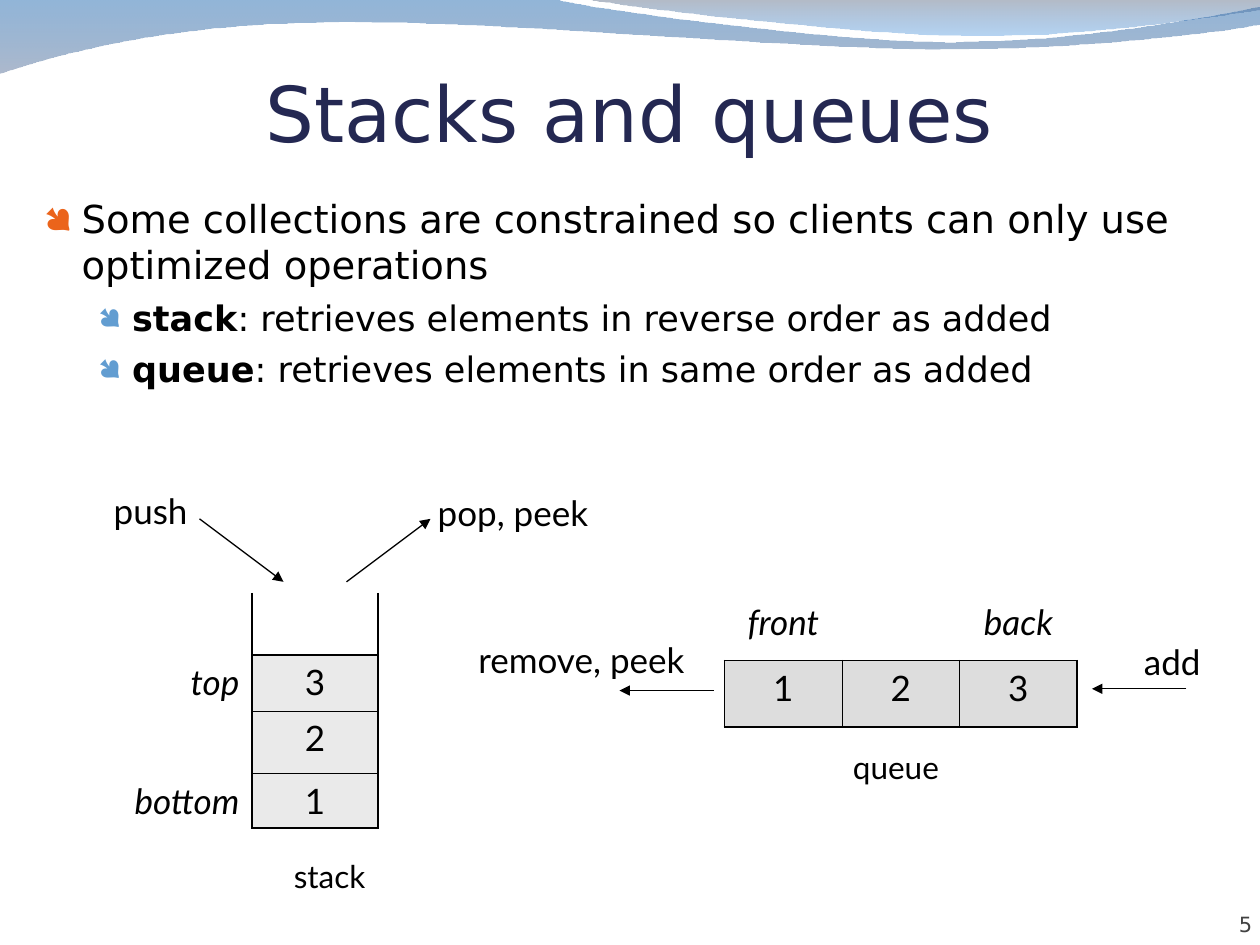
import pptx
import pptx.dml.color
import pptx.enum.shapes
import pptx.enum.text
import pptx.oxml.ns
import pptx.util
from lxml import etree

Pt = pptx.util.Pt
qn = pptx.oxml.ns.qn
ALIGN = pptx.enum.text.PP_ALIGN
ANCHOR = pptx.enum.text.MSO_ANCHOR
INK = "000000"
HEADING_FONT, DIAGRAM_FONT = "DejaVu Sans", "Lato"
THICK, THIN = 1.08, 0.45
NO_GRID_STYLE = "{2D5ABB26-0587-4C30-8999-92F81FD0307C}"

# Wave outlines in points: a pair is a corner, a triple of pairs is a curve
BACK_WAVE = [
    (0, 0), (316.8, 0),
    ((342.7, 6.5), (478, 23.8), (545.8, 23.8)),
    ((614.2, 23.8), (689.8, 10), (720, 3.6)),
    (720.7, 13.7),
    ((707.8, 16.6), (626.4, 28), (537.1, 28)),
    ((447.8, 28), (275, 10.8), (185, 13)),
    ((92.9, 13.7), (33, 31), (-0.7, 41.8)),
]
FRONT_WAVE = [
    (336.2, 0),
    ((358.6, 3.6), (485.3, 19.4), (549.4, 20.2)),
    ((613.4, 21.6), (692, 10), (720, 6.5)),
    (720, 0),
]


def rgb(value):
    return pptx.dml.color.RGBColor.from_string(value)


def add_run(paragraph, text, size, font=DIAGRAM_FONT, color=INK, **formats):
    run = paragraph.add_run()
    run.text = text
    for name, value in {"name": font, "size": Pt(size), **formats}.items():
        setattr(run.font, name, value)
    run.font.color.rgb = rgb(color)


def add_text_frame(slide, left, top, width, height, **formats):
    frame = slide.shapes.add_textbox(Pt(left), Pt(top), Pt(width), Pt(height)).text_frame
    for name, value in {"word_wrap": True, **formats}.items():
        setattr(frame, name, value)
    return frame


def add_label(slide, text, left, top, width, size=20):
    frame = add_text_frame(slide, left, top, width, size * 1.2 + 7.2, word_wrap=False)
    add_run(frame.paragraphs[0], text, size)


def add_arrow(slide, x1, y1, x2, y2):
    arrow = slide.shapes.add_connector(
        pptx.enum.shapes.MSO_CONNECTOR.STRAIGHT, Pt(x1), Pt(y1), Pt(x2), Pt(y2))
    arrow.line.width = Pt(0.75)
    arrow.line.color.rgb = rgb(INK)
    etree.SubElement(arrow.line._get_or_add_ln(), qn("a:tailEnd"), type="triangle")
    etree.SubElement(arrow.element.spPr, qn("a:effectLst"))


def add_grid(slide, left, top, columns, rows):
    graphic = slide.shapes.add_table(len(rows), len(columns), Pt(left), Pt(top),
                                     Pt(sum(columns)), Pt(sum(rows)))
    for style in graphic.element.iter(qn("a:tableStyleId")):
        style.text = NO_GRID_STYLE
    table = graphic.table
    table.first_row = table.horz_banding = False
    for column, width in zip(table.columns, columns):
        column.width = Pt(width)
    for row, height in zip(table.rows, rows):
        row.height = Pt(height)
    for cell in table.iter_cells():
        cell.fill.background()
        cell.text_frame.paragraphs[0].font.size = Pt(12)
    return table


def fill_cell(cell, text, align=ALIGN.CENTER, italic=False):
    paragraph = cell.text_frame.paragraphs[0]
    paragraph.alignment = align
    add_run(paragraph, text, 20, italic=italic)


def set_borders(cell, **widths):
    properties = cell._tc.get_or_add_tcPr()
    sides = [side for side in "LRTB" if side in widths]
    for index, side in enumerate(sides):
        border = etree.Element(qn("a:ln" + side), w=str(Pt(widths[side])))
        solid = etree.SubElement(border, qn("a:solidFill"))
        etree.SubElement(solid, qn("a:srgbClr"), val=INK)
        properties.insert(index, border)


def add_wave(slide, outline, stops):
    start, *parts = outline
    builder = slide.shapes.build_freeform(*start, scale=Pt(1))
    for part in parts:
        builder.add_line_segments(part if isinstance(part[0], tuple) else [part], close=False)
    builder.add_line_segments([], close=True)
    wave = builder.convert_to_shape()
    # Turn each run of three segments that belongs to a curve into one Bézier
    segments = iter(list(wave.element.iter(qn("a:lnTo"))))
    for part in parts:
        segment = next(segments)
        if isinstance(part[0], tuple):
            segment.addprevious(curve := etree.Element(qn("a:cubicBezTo")))
            for control in (segment, next(segments), next(segments)):
                curve.append(control[0])
                control.getparent().remove(control)
    wave.shadow.inherit = False
    wave.line.fill.background()
    wave.fill.gradient()
    wave.fill.gradient_angle = 270
    for stop, (color, _) in zip(wave.fill.gradient_stops, stops):
        stop.color.rgb = rgb(color)
    colors = wave.element.spPr.find(qn("a:gradFill")).iter(qn("a:srgbClr"))
    for color, (_, opacity) in zip(colors, stops):
        etree.SubElement(color, qn("a:alpha"), val=str(opacity * 1000))


def add_title(slide, left, top, width, height):
    frame = add_text_frame(slide, left, top, width, height, vertical_anchor=ANCHOR.BOTTOM,
                           margin_left=0, margin_right=0, margin_bottom=0)
    frame.paragraphs[0].alignment = ALIGN.CENTER
    add_run(frame.paragraphs[0], "Stacks and queues", 44, HEADING_FONT, "242852")


def add_page_number(slide, left, top, width, height):
    frame = add_text_frame(slide, left, top, width, height, vertical_anchor=ANCHOR.BOTTOM,
                           margin_left=0, margin_top=0, margin_right=0, margin_bottom=0)
    frame.paragraphs[0].alignment = ALIGN.RIGHT
    add_run(frame.paragraphs[0], "5", 12, HEADING_FONT, "424242")


def add_bullets(slide, left, top, width, height):
    frame = add_text_frame(slide, left, top, width, height)
    main = {"size": 22, "margin": 21.6, "hang": 21.6, "color": "EB641B", "scale": 95, "level": 0}
    sub = {"size": 20, "margin": 50.4, "hang": 19.4, "color": "629DD1", "scale": 85, "level": 1}
    items = [
        (main, "", "Some collections are constrained so clients can only use optimized operations"),
        (sub, "stack", ": retrieves elements in reverse order as added"),
        (sub, "queue", ": retrieves elements in same order as added"),
    ]
    for index, (look, term, text) in enumerate(items):
        paragraph = frame.add_paragraph() if index else frame.paragraphs[0]
        paragraph.level = look["level"]
        properties = paragraph._p.get_or_add_pPr()
        properties.set("marL", str(Pt(look["margin"])))
        properties.set("indent", str(-Pt(look["hang"])))
        bullet_color = etree.SubElement(properties, qn("a:buClr"))
        etree.SubElement(bullet_color, qn("a:srgbClr"), val=look["color"])
        etree.SubElement(properties, qn("a:buSzPct"), val=str(look["scale"] * 1000))
        etree.SubElement(properties, qn("a:buFont"), typeface="Wingdings", charset="2")
        etree.SubElement(properties, qn("a:buChar"), char="●")
        if index:
            paragraph.space_before = Pt(5)
        if term:
            add_run(paragraph, term, look["size"], HEADING_FONT, bold=True)
        add_run(paragraph, text, look["size"], HEADING_FONT)


def add_stack(slide, left, top):
    grid = add_grid(slide, left, top + 62.8, [96, 72], [35.5, 32, 35.5, 31])
    set_borders(grid.cell(0, 1), L=THICK, R=THICK, B=THICK)
    for row, value in enumerate("321", start=1):
        cell = grid.cell(row, 1)
        fill_cell(cell, value)
        cell.fill.solid()
        cell.fill.fore_color.rgb = rgb("EAEAEA")
        set_borders(cell, L=THICK, R=THICK, T=THICK if row == 1 else THIN,
                    B=THICK if row == 3 else THIN)
    for row, name in ((1, "top"), (3, "bottom")):
        fill_cell(grid.cell(row, 0), name, ALIGN.RIGHT, italic=True)
    # Operations at the open end
    add_label(slide, "push", left + 9.9, top, 61)
    add_label(slide, "pop, peek", left + 195, top + 1.4, 107)
    add_arrow(slide, left + 66, top + 20.5, left + 114, top + 56.5)
    add_arrow(slide, left + 150, top + 56.5, left + 198, top + 20.5)
    add_label(slide, "stack", left + 112.8, top + 210, 58, 18)


def add_queue(slide, left, top):
    grid = add_grid(slide, left + 148, top - 0.3, [67.2] * 3, [37.8] * 2)
    for column, value in enumerate("123"):
        cell = grid.cell(1, column)
        fill_cell(cell, value)
        cell.fill.solid()
        cell.fill.fore_color.rgb = rgb("DDDDDD")
        set_borders(cell, T=THICK, B=THICK, L=THICK if column == 0 else THIN,
                    R=THICK if column == 2 else THIN)
    for column, name in ((0, "front"), (2, "back")):
        fill_cell(grid.cell(0, column), name, italic=True)
    # Operations at both ends
    add_label(slide, "remove, peek", left + 0.2, top + 21.5, 142.5)
    add_label(slide, "add", left + 380.6, top + 22.4, 50.4)
    for tail, level in ((142, 54.6), (412, 53.6)):
        add_arrow(slide, left + tail, top + level, left + tail - 54, top + level)
    add_label(slide, "queue", left + 214.3, top + 83.8, 68, 18)


def main():
    deck = pptx.Presentation()
    deck.slide_width, deck.slide_height = Pt(720), Pt(540)
    slide = deck.slides.add_slide(deck.slide_layouts[6])
    add_wave(slide, BACK_WAVE, [("0E5CA9", 45), ("687FA3", 55)])
    add_wave(slide, FRONT_WAVE, [("576680", 45), ("046FDA", 30)])
    add_page_number(slide, 656, 506, 59.5, 29)
    add_title(slide, 36, 34.5, 648, 55.5)
    add_bullets(slide, 18, 108, 702, 408)
    add_stack(slide, 48, 276)
    add_queue(slide, 266, 340)
    deck.save("out.pptx")


if __name__ == "__main__":
    main()
